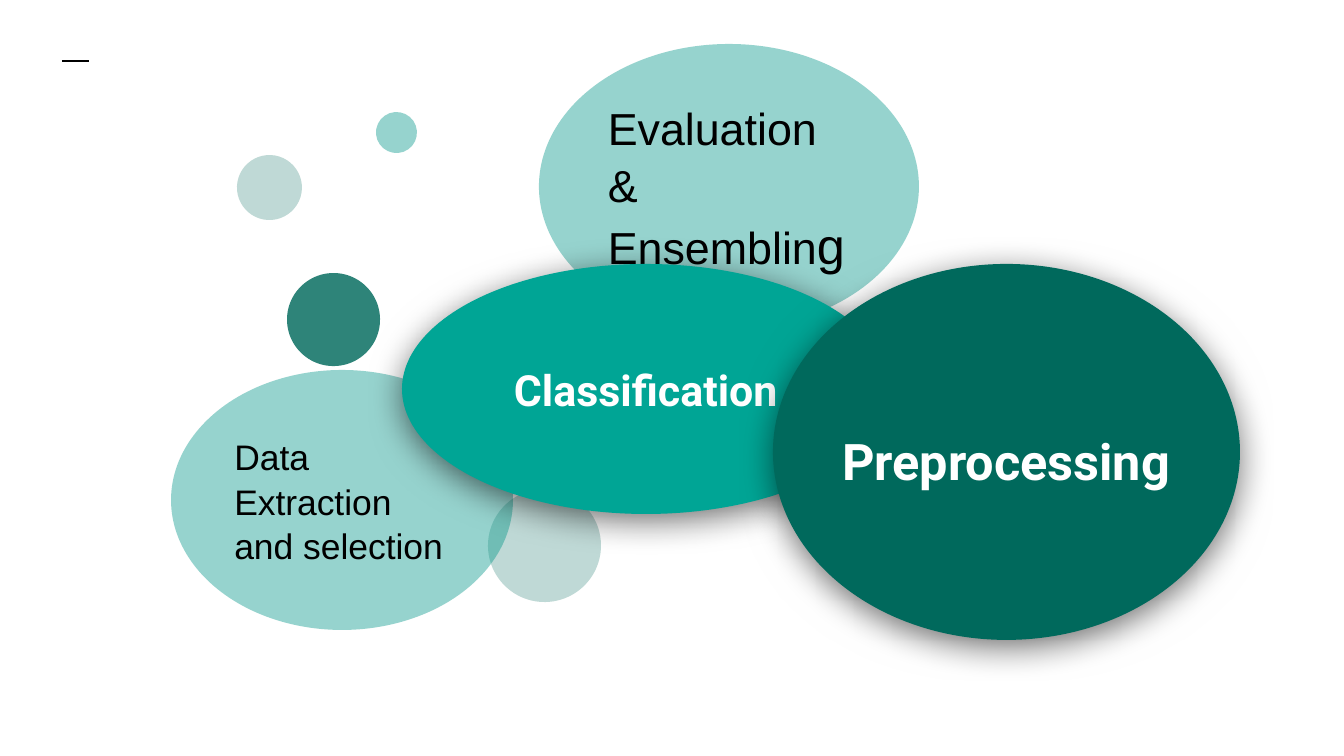
from lxml import etree
from pptx import Presentation
from pptx import util as u
from pptx.dml.color import RGBColor
from pptx.enum import shapes, text
from pptx.oxml import ns

PX = 914400 / 134.4
COLORS = {"dark": "00695C", "teal": "009688", "bright": "00A595",
          "black": "000000", "white": "FFFFFF"}

# left, top, width, height in px; color; opacity in percent; text runs (words, points)
BUBBLES = [
    ((488, 489, 113, 113), "dark", 25, []),
    ((237, 155, 65, 65), "dark", 25, []),
    ((171, 370, 342, 260), "teal", 41, [("Data Extraction and selection", 19)]),
    ((539, 44, 380, 285), "teal", 41, [("Evaluation & Ensemblin", 24), ("g", 27)]),
    ((287, 273, 93, 93), "dark", 82, []),
    ((376, 112, 41, 41), "teal", 41, []),
]
# ellipse box; color; label box; label; points
STAGES = [
    ((402, 264, 488, 250), "bright", (480, 307, 332, 165), "Classification", 23),
    ((773, 264, 467, 376), "dark", (828, 370, 356, 180), "Preprocessing", 27),
]
ACCENT = (62, 61, 89, 61)


def px(*lengths):
    return [u.Emu(round(n * PX)) for n in lengths]


def rgb(name):
    return RGBColor.from_string(COLORS[name])


def add_xml(parent, tag, **attributes):
    return etree.SubElement(parent, ns.qn(tag), attributes)


def add_ellipse(slide, box, color):
    ellipse = slide.shapes.add_shape(shapes.MSO_SHAPE.OVAL, *px(*box))
    ellipse.fill.solid()
    ellipse.fill.fore_color.rgb = rgb(color)
    ellipse.line.fill.background()
    ellipse.shadow.inherit = False
    return ellipse


def set_opacity(shape, percent):
    color = shape.fill._xPr.find(".//" + ns.qn("a:srgbClr"))
    add_xml(color, "a:alpha", val=str(percent * 1000))


def add_shadow(shape):
    effects = shape._element.spPr.find(ns.qn("a:effectLst"))
    shadow = add_xml(effects, "a:outerShdw", blurRad=str(u.Pt(18)), dist=str(u.Pt(4)),
                     dir="5400000", algn="bl", rotWithShape="0")
    color = add_xml(shadow, "a:srgbClr", val=COLORS["black"])
    add_xml(color, "a:alpha", val="55000")


def write(shape, runs, font, color, align, bold=False, spacing=1.0):
    frame = shape.text_frame
    frame.word_wrap = True
    frame.vertical_anchor = text.MSO_ANCHOR.MIDDLE
    frame.margin_left = frame.margin_right = u.Inches(0.1)
    frame.margin_top = frame.margin_bottom = u.Inches(0.1)
    paragraph = frame.paragraphs[0]
    paragraph.alignment = align
    paragraph.line_spacing = spacing
    for words, size in runs:
        run = paragraph.add_run()
        run.text = words
        run.font.name = font
        run.font.size = u.Pt(size)
        run.font.bold = bold
        run.font.color.rgb = rgb(color)


def main():
    prs = Presentation()
    prs.slide_width, prs.slide_height = px(1344, 756)
    slide = prs.slides.add_slide(prs.slide_layouts[6])

    accent = slide.shapes.add_connector(shapes.MSO_CONNECTOR.STRAIGHT, *px(*ACCENT))
    accent.line.color.rgb = rgb("black")
    accent.line.width = u.Pt(1.5)
    add_xml(accent._element.spPr, "a:effectLst")

    for box, color, opacity, runs in BUBBLES:
        bubble = add_ellipse(slide, box, color)
        set_opacity(bubble, opacity)
        if runs:
            write(bubble, runs, "Arial", "black", text.PP_ALIGN.LEFT, spacing=1.05)
        else:
            bubble.rotation = 250

    for box, color, label_box, words, size in STAGES:
        add_shadow(add_ellipse(slide, box, color))
        label = slide.shapes.add_textbox(*px(*label_box))
        write(label, [(words, size)], "Roboto", "white", text.PP_ALIGN.CENTER, bold=True)

    prs.save("out.pptx")


if __name__ == "__main__":
    main()
